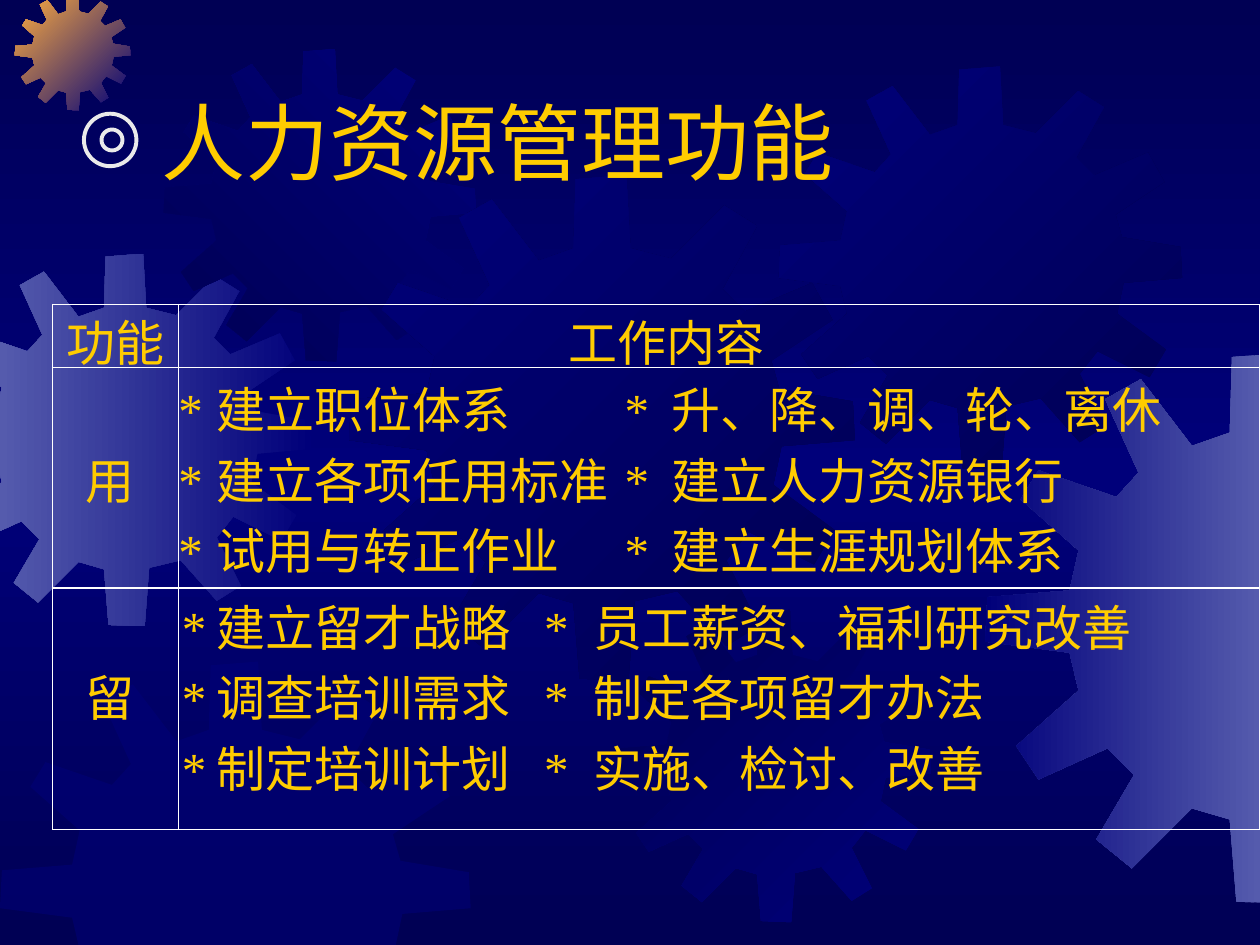
from copy import deepcopy

from lxml.etree import SubElement
from pptx import Presentation
from pptx.dml.color import RGBColor
from pptx.enum.shapes import MSO_SHAPE
from pptx.enum.text import MSO_ANCHOR, PP_ALIGN
from pptx.oxml.ns import qn
from pptx.util import Pt

WIDTH, HEIGHT = 720, 540
FONT = "Times New Roman"
DARK = RGBColor(0x00, 0x00, 0x54)
NAVY = RGBColor(0x00, 0x00, 0x7A)
LILAC = RGBColor(0x55, 0x5B, 0xAD)
ORANGE = RGBColor(0xFC, 0xAB, 0x40)
YELLOW = RGBColor(0xFF, 0xCC, 0x00)
PALE = RGBColor(0xEA, 0xEA, 0xEA)
WHITE = RGBColor(0xFF, 0xFF, 0xFF)

GEAR_SIZE = 248
GEAR = [
    (158, 41), (138, 36), (136, 0), (111, 2), (110, 36), (93, 42),
    (70, 12), (54, 21), (69, 54), (59, 65), (24, 53), (16, 66),
    (42, 89), (38, 107), (1, 110), (0, 130), (38, 135), (42, 152),
    (14, 177), (24, 192), (55, 178), (67, 190), (50, 219), (66, 232),
    (93, 205), (110, 210), (113, 247), (137, 248), (140, 209), (161, 204),
    (185, 231), (201, 221), (185, 189), (196, 175), (228, 191), (238, 174),
    (208, 152), (212, 133), (248, 130), (247, 111), (211, 105), (207, 91),
    (237, 71), (227, 53), (194, 67), (183, 56), (200, 25), (184, 15),
]
# left, top, size, first colour, last colour, clockwise angle
GEARS = [
    (-35, 145, 213, NAVY, LILAC, 180),
    (8.5, -3, 66, NAVY, ORANGE, 225),
    (93.5, 28, 178.5, NAVY, DARK, 135),
    (199.5, 100, 289, DARK, NAVY, 225),
    (0, 378, 269, NAVY, None, 0),
    (353.5, 348.5, 178.5, NAVY, DARK, 225),
    (445, 38, 230.5, DARK, NAVY, 225),
    (563, 201.5, 315, LILAC, NAVY, 180),
]

# label, first tab stops, left margin, bottom margin, lines
ROWS = [
    ("用", (22, 255, 282), 0, 0, [
        ("建立职位体系", "升、降、调、轮、离休"),
        ("建立各项任用标准", "建立人力资源银行"),
        ("试用与转正作业", "建立生涯规划体系")]),
    ("留", (20, 207, 235), 2, 15, [
        ("建立留才战略", "员工薪资、福利研究改善"),
        ("调查培训需求", "制定各项留才办法"),
        ("制定培训计划", "实施、检讨、改善")]),
]


def clip(points, axis, limit, sign):
    """Keep the part of a polygon on one side of a slide edge."""
    kept = []
    for a, b in zip(points, points[1:] + points[:1]):
        da, db = sign * (a[axis] - limit), sign * (b[axis] - limit)
        if da >= 0:
            kept.append(a)
        if da * db < 0:
            t = da / (da - db)
            kept.append(tuple(m + t * (n - m) for m, n in zip(a, b)))
    return kept


def set_gradient(fill, first, last, angle):
    fill.gradient()
    fill.gradient_angle = (360 - angle) % 360
    for stop, color, position in zip(fill.gradient_stops, (first, last), (0, 1)):
        stop.color.rgb = color
        stop.position = position


def set_background(s):
    """Fade from dark to navy and back to dark."""
    set_gradient(s.background.fill, DARK, NAVY, 90)
    stops = s.element.find(".//" + qn("a:gsLst"))
    stops[1].set("pos", "50000")
    end = deepcopy(stops[0])
    end.set("pos", "100000")
    stops.append(end)


def add_gear(s, left, top, size, first, last, angle):
    k = size / GEAR_SIZE
    points = [(left + x * k, top + y * k) for x, y in GEAR]
    for edge in ((0, 0, 1), (0, WIDTH, -1), (1, 0, 1), (1, HEIGHT, -1)):
        points = clip(points, *edge)
    points = [(Pt(x), Pt(y)) for x, y in points]
    builder = s.shapes.build_freeform(*points[0], scale=1.0)
    builder.add_line_segments(points[1:], close=True)
    sp = builder.convert_to_shape()
    sp.shadow.inherit = False
    sp.line.fill.background()
    if last is not None:
        set_gradient(sp.fill, first, last, angle)
    else:
        sp.fill.solid()
        sp.fill.fore_color.rgb = first
        color = sp.element.spPr.find(".//" + qn("a:srgbClr"))
        SubElement(color, qn("a:alpha"), val="50000")


def add_ring(s, left, top, size):
    sp = s.shapes.add_shape(MSO_SHAPE.OVAL, Pt(left), Pt(top), Pt(size), Pt(size))
    sp.shadow.inherit = False
    sp.fill.background()
    sp.line.color.rgb = PALE
    sp.line.width = Pt(2.25)


def format_runs(tf, size):
    for p in tf.paragraphs:
        for r in p.runs:
            r.font.size = Pt(size)
            r.font.name = FONT
            r.font.color.rgb = YELLOW


def add_title(s, text):
    sp = s.shapes.add_textbox(Pt(85), Pt(48), Pt(430), Pt(65))
    tf = sp.text_frame
    tf.word_wrap = True
    tf.text = text
    format_runs(tf, 48)


def set_tabs(p, stops):
    tabs = SubElement(p._p.get_or_add_pPr(), qn("a:tabLst"))
    for stop in stops:
        SubElement(tabs, qn("a:tab"), pos=str(Pt(stop)), algn="l")


def fill_cell(cell, text, tabs=(), left=0, right=0, bottom=0):
    """Write a white-bordered cell; it is centred unless it has tab stops."""
    tc_pr = cell._tc.get_or_add_tcPr()
    for side in ("a:lnL", "a:lnR", "a:lnT", "a:lnB"):
        line = SubElement(tc_pr, qn(side), w=str(Pt(0.75)))
        SubElement(SubElement(line, qn("a:solidFill")), qn("a:srgbClr"), val=str(WHITE))
    cell.fill.background()
    cell.margin_left, cell.margin_right = Pt(left), Pt(right)
    cell.margin_top, cell.margin_bottom = Pt(0), Pt(bottom)
    cell.vertical_anchor = MSO_ANCHOR.MIDDLE
    tf = cell.text_frame
    tf.text = text
    for p in tf.paragraphs:
        p.alignment = PP_ALIGN.LEFT if tabs else PP_ALIGN.CENTER
        if tabs:
            set_tabs(p, tabs)
    format_runs(tf, 28)


def add_function_table(s):
    heights = (36, 126, 138)
    frame = s.shapes.add_table(3, 2, Pt(30), Pt(174), Pt(690), Pt(sum(heights)))
    table = frame.table
    table.first_row = table.horz_banding = False
    for column, width in zip(table.columns, (72, 618)):
        column.width = Pt(width)
    for row, height in zip(table.rows, heights):
        row.height = Pt(height)
    fill_cell(table.cell(0, 0), "功能")
    fill_cell(table.cell(0, 1), "工作内容", right=60)
    for i, (label, tabs, left, bottom, lines) in enumerate(ROWS, 1):
        text = "\n".join(f"*\t{a}\t*\t{b}" for a, b in lines)
        fill_cell(table.cell(i, 0), label, right=6, bottom=bottom)
        fill_cell(table.cell(i, 1), text, tabs, left, bottom=bottom)


def main():
    prs = Presentation()
    prs.slide_width, prs.slide_height = Pt(WIDTH), Pt(HEIGHT)
    s = prs.slides.add_slide(prs.slide_layouts[6])
    set_background(s)
    for gear in GEARS:
        add_gear(s, *gear)
    add_title(s, "人力资源管理功能")
    add_ring(s, 48, 65, 30)
    add_ring(s, 58, 74, 12)
    add_function_table(s)
    prs.save("out.pptx")


if __name__ == "__main__":
    main()
